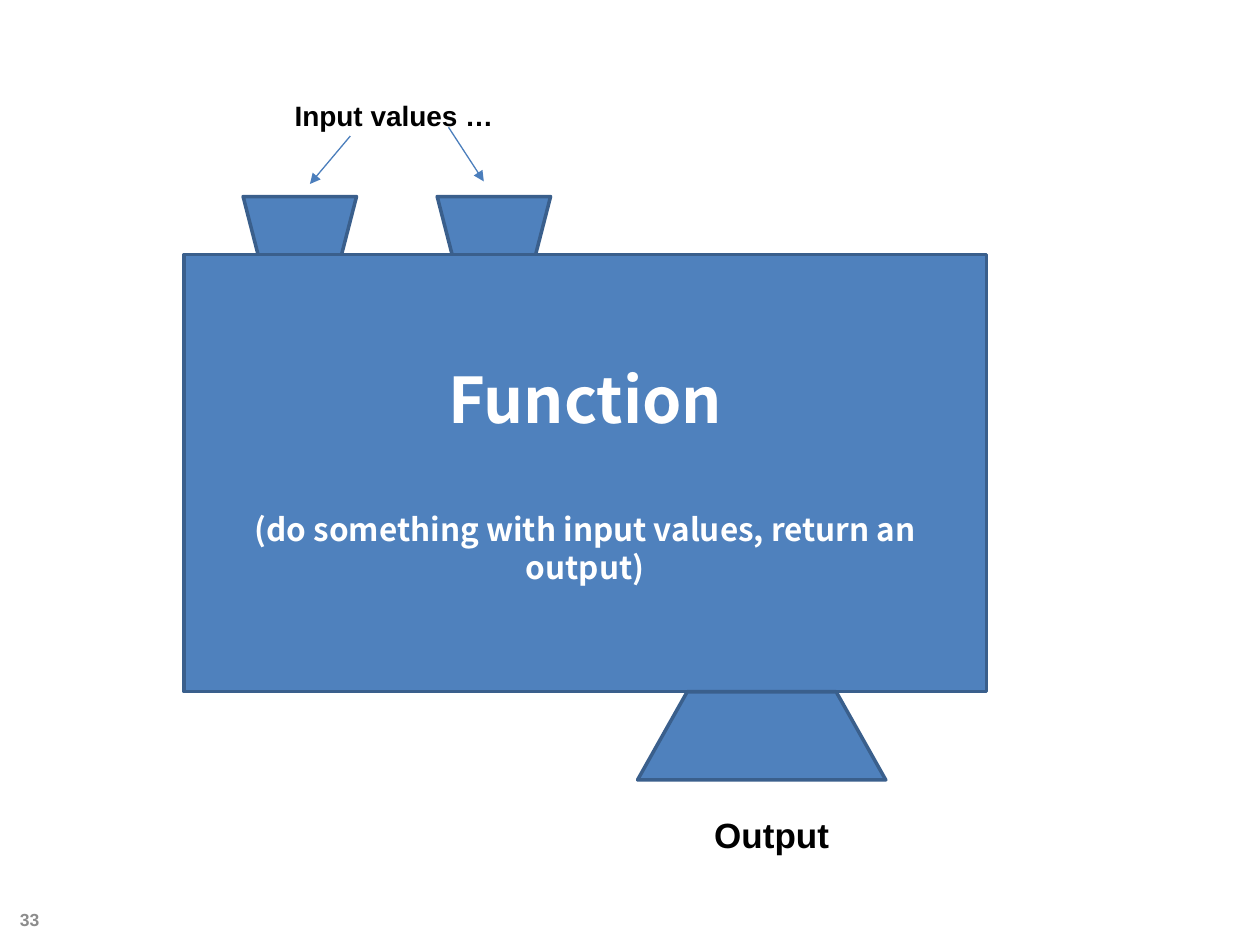
from lxml.etree import SubElement
from pptx import Presentation
from pptx.dml.color import RGBColor
from pptx.enum.shapes import MSO_CONNECTOR as Link, MSO_SHAPE as Shape
from pptx.enum.text import MSO_ANCHOR as Anchor, PP_ALIGN as Align
from pptx.oxml.ns import qn
from pptx.util import Inches, Pt

deck = Presentation()
deck.slide_width, deck.slide_height = Inches(10), Inches(7.5)
page = deck.slides.add_slide(deck.slide_layouts[6])


def place(*shares):
    """Turn x, y pairs given in percent of the slide into lengths."""
    sides = (deck.slide_width, deck.slide_height)
    return [round(sides[i % 2] * share / 100) for i, share in enumerate(shares)]


def write(para, text, color, **font):
    span = para.add_run()
    span.text = text
    span.font.color.rgb = RGBColor.from_string(color)
    for name, value in font.items():
        setattr(span.font, name, value)


# Machine: two input funnels, the body, the output funnel
funnel = Shape.FLOWCHART_MANUAL_OPERATION
parts = [
    (funnel, (19.3, 20.8, 9, 9.33), 0),
    (funnel, (34.7, 20.8, 9, 9.33), 0),
    (Shape.FLOWCHART_PROCESS, (14.6, 26.93, 63.7, 46.27), 0),
    (funnel, (50.6, 73.2, 19.7, 9.33), 180),
]
for kind, area, turn in parts:
    box = page.shapes.add_shape(kind, *place(*area))
    box.rotation = turn
    box.shadow.inherit = False
    box.fill.solid()
    box.fill.fore_color.rgb = RGBColor.from_string("4F81BD")
    box.line.color.rgb = RGBColor.from_string("3A5F8C")
    box.line.width = Pt(2)
    if kind == Shape.FLOWCHART_PROCESS:
        body = box.text_frame

# Body wording
body.word_wrap = True
body.vertical_anchor = Anchor.MIDDLE
title, detail = body.paragraphs[0], body.add_paragraph()
detail.space_before = Pt(42)
for para, text, size in [
    (title, "Function", 36),
    (detail, "(do something with input values, return an output)", 18),
]:
    para.alignment = Align.CENTER
    write(para, text, "FFFFFF", size=Pt(size), bold=True, name="Noto Sans CJK KR")

# Labels and page number
labels = [
    ("Input values …", (22.4, 9.73, 17.9, 4.93), 16, "000000", Align.LEFT, Anchor.TOP),
    ("Output", (55.7, 85.47, 11.5, 5.87), 20, "000000", Align.LEFT, Anchor.TOP),
    ("33", (0, 94.67, 4.1, 5.33), 10, "8C8C8C", Align.RIGHT, Anchor.MIDDLE),
]
for text, area, size, color, align, anchor in labels:
    frame = page.shapes.add_textbox(*place(*area)).text_frame
    frame.word_wrap = align == Align.RIGHT
    frame.vertical_anchor = anchor
    frame.paragraphs[0].alignment = align
    write(frame.paragraphs[0], text, color, size=Pt(size), bold=True, name="Arial")

# Arrows from the input label to the funnels
for ends in [(27.8, 14.4, 24.6, 19.47), (35.6, 13.47, 38.4, 19.2)]:
    arrow = page.shapes.add_connector(Link.STRAIGHT, *place(*ends))
    arrow.line.color.rgb = RGBColor.from_string("4B7EBC")
    arrow.line.width = Pt(0.75)
    SubElement(arrow.line._get_or_add_ln(), qn("a:tailEnd"), type="triangle")
    SubElement(arrow._element.spPr, qn("a:effectLst"))

deck.save("out.pptx")
